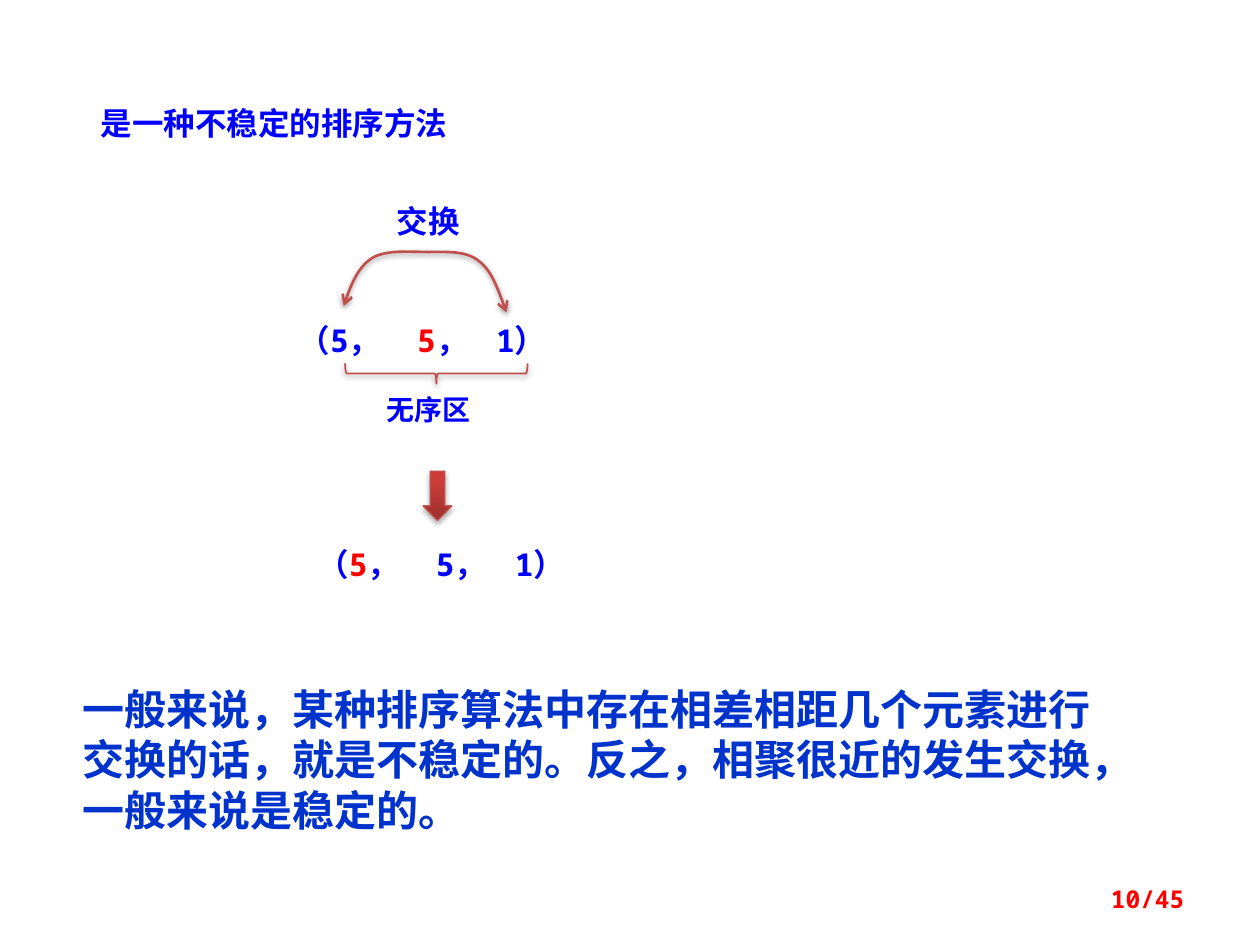
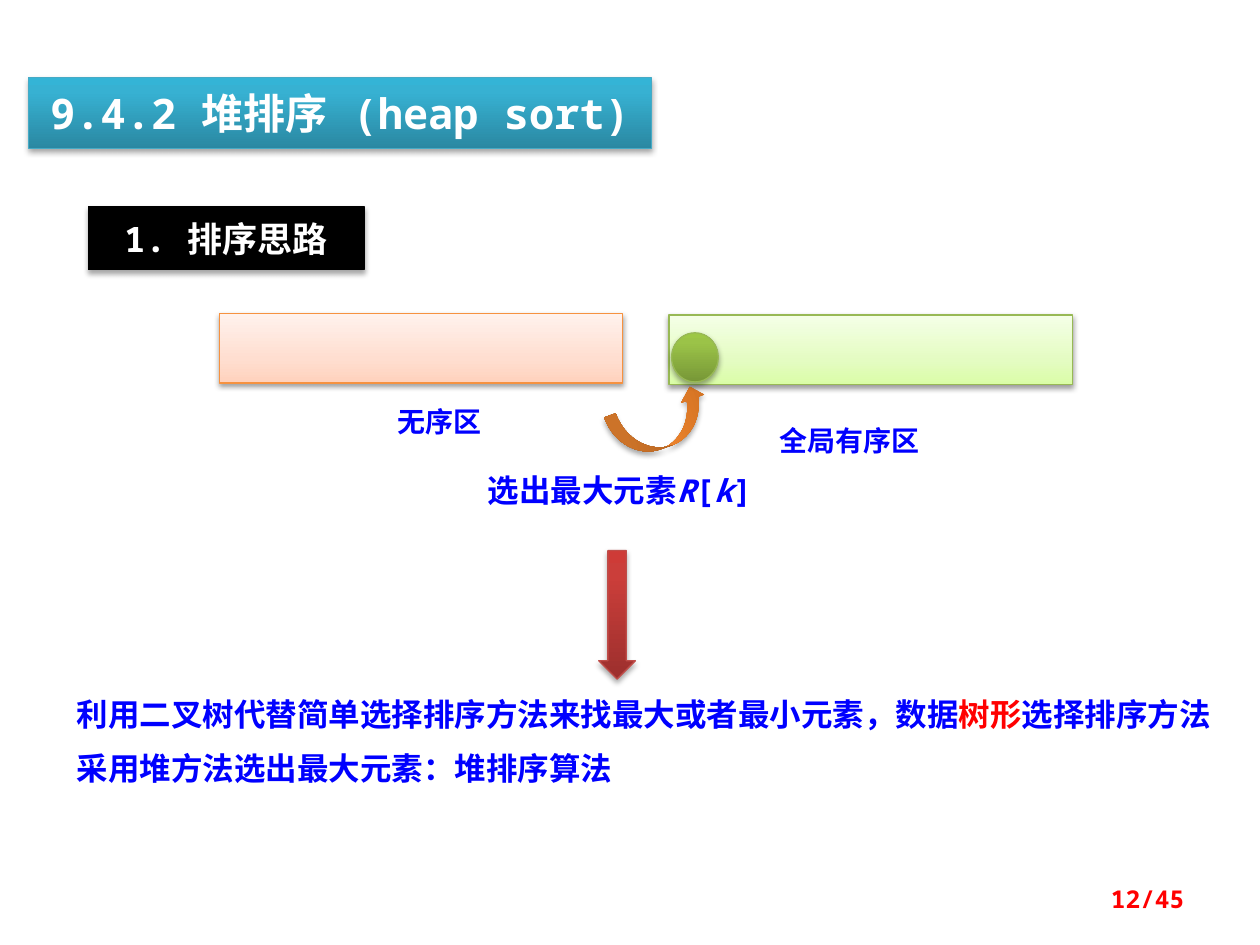
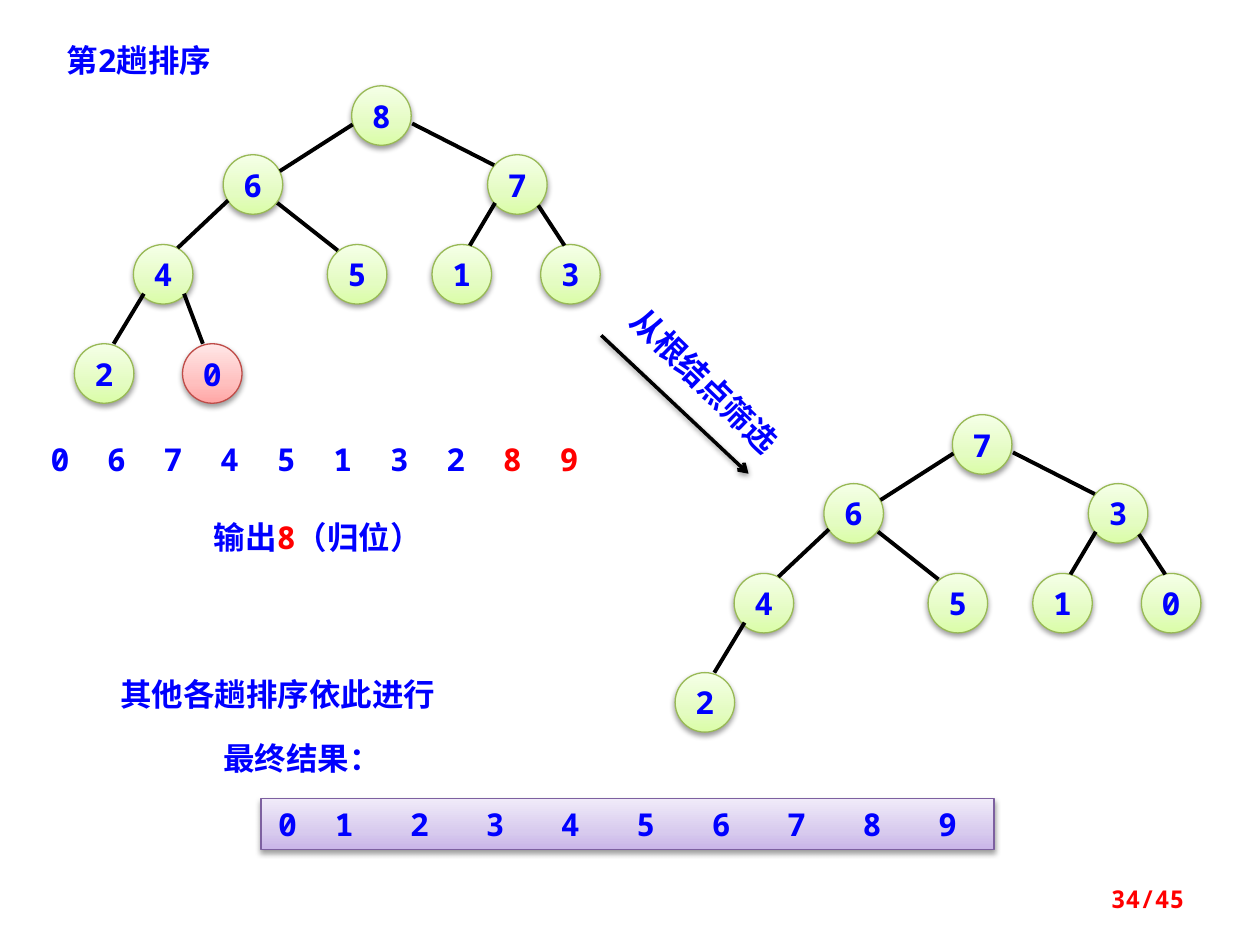
from itertools import cycle
from lxml.etree import SubElement as Sub
from pptx import Presentation
from pptx.dml.color import RGBColor as Rgb
from pptx.enum.lang import MSO_LANGUAGE_ID as Lang
from pptx.enum.shapes import MSO_CONNECTOR as Link, MSO_SHAPE as Form
from pptx.enum.text import MSO_ANCHOR as Anchor, PP_ALIGN as Align
from pptx.oxml.ns import qn
from pptx.util import Cm, Pt

MONO, SANS, SERIF = "Noto Sans Mono", "Noto Sans CJK SC", "Times New Roman"
COL = {"blue": "0000FF", "red": "FF0000", "navy": "0033CC", "white": "FFFFFF",
       "black": "000000", "brick": "C0504D"}
SOFT = {"leaf": ("98B955", "DAFDA7", "E4FCC2", "F5FFE7"),
        "peach": ("F69240", "FFD2BD", "FFDED0", "FFF2ED"),
        "rose": ("BF4C48", "FFA6A5", "FFC0BF", "FFE7E7"),
        "lilac": ("7D60A0", "C9B5E8", "D8CBEE", "F0EAF9")}
RICH = {"teal": ("46AAC5", "2A88A2", "37B1D2", "34B4D6"),
        "ruby": ("BF4C48", "9C2F2D", "CB3E3A", "CE3B37"),
        "moss": ("98B955", "779737", "9BC348", "9DC746"),
        "amber": (None, "CC6E20", "FF9034", "FF9136")}
NODE = 1.2
SPOTS = [(7.09, 1.73), (4.5, 3.12), (9.83, 3.12), (2.69, 4.93), (6.6, 4.93),
         (8.71, 4.93), (10.9, 4.93), (1.5, 6.93), (3.68, 6.93)]
EDGES = [(7.11, 2.51, 5.64, 3.45), (8.31, 2.49, 9.96, 3.33),
         (4.6, 4.04, 3.58, 5), (5.59, 4.09, 6.81, 5.05),
         (9.98, 4.09, 9.47, 4.95), (10.85, 4.14, 11.38, 4.95),
         (2.9, 5.92, 2.29, 6.93), (3.71, 5.92, 4.09, 6.93)]
SWAP = [(6.93, 6.17), (7.06, 5.79), (7.19, 5.41), (7.49, 5.21), (7.77, 5.03),
        (8.26, 5.08), (8.64, 5.08), (8.99, 5.08), (9.4, 5.05), (9.65, 5.26),
        (9.93, 5.46), (10.06, 5.89), (10.21, 6.3)]
TRIO = [2.39, 3.98]


def write(shape, text, size=18, color="blue", font=MONO, east=None,
          align=Align.LEFT, anchor=Anchor.TOP, wrap=True, lead=None, gap=9,
          tabs=(), inset=0.25, mark="red"):
    """Fill a shape with text; pieces between bars are marked."""
    frame = shape.text_frame
    frame.word_wrap, frame.vertical_anchor = wrap, anchor
    frame.margin_left = Cm(inset)
    for row, line in enumerate(text.split("\n")):
        para = frame.add_paragraph() if row else frame.paragraphs[0]
        if tabs:
            stops = Sub(para._p.get_or_add_pPr(), qn("a:tabLst"))
            for stop in tabs:
                Sub(stops, qn("a:tab"), pos=str(Cm(stop)), algn="l")
        para.alignment = align
        if lead:
            para.line_spacing = lead
        if row:
            para.space_before = Pt(gap)
        for piece, hot in zip(line.split("|"), cycle((False, True))):
            if not piece:
                continue
            run = para.add_run()
            run.text = piece
            face = run.font
            face.size, face.bold, face.name = Pt(size), True, font
            face.language_id = Lang.SIMPLIFIED_CHINESE
            face.italic = hot and mark == "italic"
            tint = "red" if hot and mark == "red" else color
            face.color.rgb = Rgb.from_string(COL[tint])
            Sub(run._r.rPr, qn("a:ea"), typeface=east or font)


def label(slide, box, text, turn=0, **form):
    """Add a text box."""
    shape = slide.shapes.add_textbox(*map(Cm, box))
    shape.rotation = turn
    write(shape, text, **form)


def shade(shape, dim=38, drop=20000):
    """Give a shape a soft shadow straight below it."""
    props = shape.element.spPr
    glow = props.find(qn("a:effectLst"))
    if glow is None:
        glow = Sub(props, qn("a:effectLst"))
    cast = Sub(glow, qn("a:outerShdw"), blurRad="40000", dist=str(drop),
               dir="5400000", rotWithShape="0")
    tone = Sub(cast, qn("a:srgbClr"), val=COL["black"])
    Sub(tone, qn("a:alpha"), val=str(dim * 1000))


def blend(shape, tones, mid):
    """Fill a shape with three tones from bottom to top."""
    shape.fill.gradient()
    grad = shape.element.spPr.find(qn("a:gradFill"))
    for part in list(grad):
        grad.remove(part)
    stops = Sub(grad, qn("a:gsLst"))
    for place, tone in zip((0, mid, 100), tones):
        stop = Sub(stops, qn("a:gs"), pos=str(place * 1000))
        Sub(stop, qn("a:srgbClr"), val=tone)
    Sub(grad, qn("a:lin"), ang="16200000", scaled="0")


def stroke(shape, color, width):
    """Set the line of a shape."""
    shape.line.color.rgb = Rgb.from_string(color)
    shape.line.width = Pt(width)


def draw(slide, form, box, look, turn=0, flip=False):
    """Add a shaded preset shape in one of the looks."""
    shape = slide.shapes.add_shape(form, *map(Cm, box))
    shape.rotation = turn
    shape.shadow.inherit = False
    if flip:
        shape.element.spPr.xfrm.set("flipH", "1")
    if look in COL:
        shape.fill.solid()
        shape.fill.fore_color.rgb = Rgb.from_string(COL[look])
        stroke(shape, COL[look], 0.75)
    else:
        edge, *tones = SOFT.get(look) or RICH[look]
        blend(shape, tones, 35 if look in SOFT else 80)
        if edge:
            stroke(shape, edge, 0.75)
        else:
            shape.line.fill.background()
    if look in SOFT:
        shade(shape)
    else:
        shade(shape, 35, 23000)
    return shape


def tip(shape, *ends):
    """Put open arrowheads on the named ends of a line."""
    line = shape.element.spPr.find(qn("a:ln"))
    for end in ends:
        Sub(line, qn(f"a:{end}"), type="arrow")


def join(slide, ends, width=2.25, arrow=False):
    """Draw a straight black line, or a shaded arrow."""
    line = slide.shapes.add_connector(Link.STRAIGHT, *map(Cm, ends))
    stroke(line, COL["black"], width)
    if arrow:
        tip(line, "tailEnd")
        shade(line)
    else:
        Sub(line.element.spPr, qn("a:effectLst"))


def bend(knots, steps=12):
    """Return points along a chain of cubic curves."""
    dots = [knots[0]]
    for at in range(0, len(knots) - 1, 3):
        for step in range(1, steps + 1):
            t = step / steps
            u = 1 - t
            rate = (u ** 3, 3 * u * u * t, 3 * u * t * t, t ** 3)
            dots.append(tuple(sum(r * k[axis] for r, k in
                                  zip(rate, knots[at:at + 4]))
                              for axis in (0, 1)))
    return dots


def arc(slide, knots):
    """Draw a curve with an arrowhead at each end."""
    dots = [(Cm(x), Cm(y)) for x, y in bend(knots)]
    pen = slide.shapes.build_freeform(*dots[0])
    pen.add_line_segments(dots[1:], close=False)
    curve = pen.convert_to_shape()
    curve.shadow.inherit = False
    curve.fill.background()
    stroke(curve, COL["brick"], 1.5)
    tip(curve, "headEnd", "tailEnd")
    shade(curve)


def brace(slide, box):
    """Draw a brace that opens upwards."""
    shape = slide.shapes.add_shape(Form.RIGHT_BRACE, *map(Cm, box))
    shape.rotation = 90
    shape.shadow.inherit = False
    shape.fill.background()
    stroke(shape, COL["brick"], 1)
    shade(shape)


def tree(slide, keys, dx=0, dy=0, mark=""):
    """Draw a heap, its keys given level by level."""
    for key, (x, y) in zip(keys, SPOTS):
        look = "rose" if key == mark else "leaf"
        node = draw(slide, Form.OVAL, (x + dx, y + dy, NODE, NODE), look)
        write(node, key, align=Align.CENTER, anchor=Anchor.MIDDLE, wrap=False)
    for key, (x, y, to_x, to_y) in zip(keys[1:], EDGES):
        join(slide, (x + dx, y + dy, to_x + dx, to_y + dy))


def head(slide, box, text, look, size):
    """Add a filled heading on one line."""
    bar = draw(slide, Form.RECTANGLE, box, look)
    write(bar, text, size=size, color="white", align=Align.CENTER,
          anchor=Anchor.MIDDLE, wrap=False)


def page(deck, num):
    """Add a slide with its page number."""
    slide = deck.slides.add_slide(deck.slide_layouts[6])
    label(slide, (18.21, 17.61, 5.92, 1.02), f"{num}/45", size=14, color="red",
          align=Align.RIGHT, anchor=Anchor.MIDDLE)
    return slide


def swaps(deck):
    """Build the slide on unstable sorting."""
    slide = page(deck, 10)
    label(slide, (1.78, 1.98, 13.28, 1.02), "是一种不稳定的排序方法", font=SANS)
    label(slide, (5.77, 6.35, 6.35, 1.02), "（5，\t|5|，\t1）", tabs=TRIO)
    label(slide, (7.54, 7.92, 2.57, 0.81), "无序区", size=16, lead=0.8)
    brace(slide, (8.59, 5.69, 0.41, 3.68))
    arc(slide, SWAP)
    label(slide, (7.75, 3.94, 1.98, 1.02), "交换", font=SANS)
    label(slide, (6.15, 10.87, 6.35, 1.02), "（|5|，\t5，\t1）", tabs=TRIO)
    draw(slide, Form.DOWN_ARROW, (8.53, 9.5, 0.58, 0.99), "ruby")
    label(slide, (1.42, 13.64, 21.36, 3.33),
          "一般来说，某种排序算法中存在相差相距几个元素进行交换的话，就是不稳定的。"
          "反之，相聚很近的发生交换，一般来说是稳定的。",
          size=24, color="navy", font=SERIF, east=SANS, lead=Pt(29))


def idea(deck):
    """Build the slide on the idea of heap sort."""
    slide = page(deck, 12)
    head(slide, (0.58, 1.57, 12.55, 1.42), "9.4.2 堆排序 (heap sort)", "teal", 24)
    head(slide, (1.78, 4.17, 5.56, 1.27), "1. 排序思路", "black", 20)
    draw(slide, Form.RECTANGLE, (13.49, 6.35, 8.13, 1.4), "leaf")
    label(slide, (15.47, 8.41, 4.17, 0.94), "全局有序区", size=16)
    draw(slide, Form.RECTANGLE, (4.42, 6.32, 8.13, 1.4), "peach")
    label(slide, (7.77, 8.03, 4.17, 0.94), "无序区", size=16)
    draw(slide, Form.CURVED_LEFT_ARROW, (12.83, 7.49, 0.99, 2.08), "amber",
         turn=250.3, flip=True)
    label(slide, (9.58, 9.37, 6.22, 1.02), "选出最大元素|R|[|k|]", mark="italic")
    draw(slide, Form.OVAL, (13.54, 6.71, 0.94, 0.99), "moss")
    draw(slide, Form.DOWN_ARROW, (12.07, 11.1, 0.74, 2.59), "ruby")
    label(slide, (1.3, 13.89, 23.8, 2.18),
          "利用二叉树代替简单选择排序方法来找最大或者最小元素，数据|树形|选择排序方法\n"
          "采用堆方法选出最大元素：堆排序算法")


def sift(deck):
    """Build the slide on the second pass."""
    slide = page(deck, 34)
    tree(slide, "867451320", mark="0")
    label(slide, (3.89, 10.31, 5.03, 1.02), "输出|8|（归位）", align=Align.CENTER)
    join(slide, (12.12, 6.76, 15.09, 9.55), width=2, arrow=True)
    label(slide, (11.81, 7.16, 4.8, 1.02), "从根结点筛选", turn=44.2,
          align=Align.CENTER)
    tree(slide, "76345102", 12.11, 6.63)
    label(slide, (0.77, 8.74, 12.5, 1.02),
          "\t".join("06745132") + "\t|8\t9|",
          tabs=[1.14 * i for i in range(1, 10)])
    label(slide, (1.09, 0.71, 5.41, 1.02), "第2趟排序")
    label(slide, (2.18, 13.49, 9.53, 1.02), "其他各趟排序依此进行")
    bar = draw(slide, Form.RECTANGLE, (5.26, 16.1, 14.78, 1.02), "lilac")
    write(bar, "\t".join("0123456789"), inset=0.35,
          tabs=[1.14 + 1.52 * i for i in range(9)])
    label(slide, (3.4, 14.78, 5.38, 1.02), "最终结果：", align=Align.CENTER)


def main():
    """Build the deck and save it."""
    deck = Presentation()
    deck.slide_width, deck.slide_height = Cm(25.4), Cm(19.05)
    swaps(deck)
    idea(deck)
    sift(deck)
    deck.save("out.pptx")


if __name__ == "__main__":
    main()
